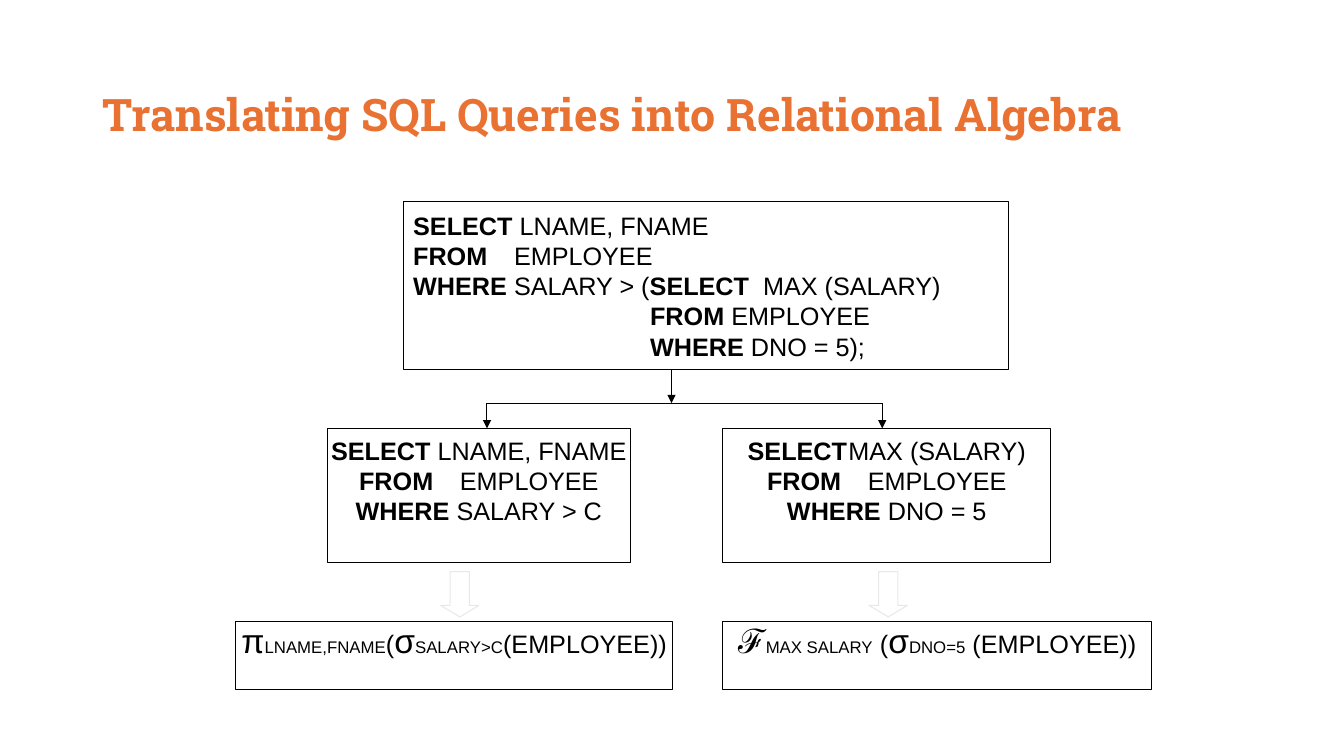
import pptx
import pptx.util
import pptx.dml.color
import pptx.enum.shapes
import pptx.enum.text
import pptx.oxml
import pptx.oxml.ns
from dataclasses import dataclass

Inches = pptx.util.Inches
Pt = pptx.util.Pt
RGB = pptx.dml.color.RGBColor.from_string
SHAPE = pptx.enum.shapes.MSO_SHAPE
ALIGN = pptx.enum.text.PP_ALIGN
ANCHOR = pptx.enum.text.MSO_ANCHOR
A = pptx.oxml.ns.nsdecls("a")


@dataclass(frozen=True)
class Theme:
    accent: str = "E97132"
    ink: str = "000000"
    paper: str = "FFFFFF"
    faint: str = "E8E8E8"
    head_font: str = "Roboto Slab"
    body_font: str = "Arial"
    title: int = 32
    symbol: int = 24
    body: int = 18
    subscript: int = 12
    line: float = 0.75
    query_leading: float = 21.5
    formula_leading: float = 27.5


THEME = Theme()


def set_all(obj, **values):
    for name, value in values.items():
        setattr(obj, name, value)


def add_run(p, text, size, color=THEME.ink, font=THEME.body_font, bold=False):
    r = p.add_run()
    r.text = text
    set_all(r.font, name=font, size=Pt(size), bold=bold)
    r.font.color.rgb = RGB(color)


def add_title(slide, box, text):
    sp = slide.shapes.title
    set_all(sp, **dict(zip(("left", "top", "width", "height"), map(Inches, box))))
    tf = sp.text_frame
    set_all(tf, word_wrap=True, vertical_anchor=ANCHOR.MIDDLE,
            margin_top=Inches(0.13), margin_bottom=Inches(0.05))
    p = tf.paragraphs[0]
    set_all(p, alignment=ALIGN.LEFT, line_spacing=0.9)
    add_run(p, text, THEME.title, THEME.accent, THEME.head_font, True)


def add_box(slide, box, side, top, wrap=False):
    sp = slide.shapes.add_shape(SHAPE.RECTANGLE, *map(Inches, box))
    sp.shadow.inherit = False
    sp.fill.solid()
    sp.fill.fore_color.rgb = RGB(THEME.paper)
    sp.line.color.rgb = RGB(THEME.ink)
    sp.line.width = Pt(THEME.line)
    tf = sp.text_frame
    set_all(tf, word_wrap=wrap, vertical_anchor=ANCHOR.TOP,
            margin_left=Inches(side), margin_right=Inches(side),
            margin_top=Inches(top), margin_bottom=0)
    return tf


def add_query(slide, box, lines, align=ALIGN.CENTER, side=0, top=0.07):
    tf = add_box(slide, box, side, top, wrap=align == ALIGN.LEFT)
    for i, (indent, *parts) in enumerate(lines):
        p = tf.add_paragraph() if i else tf.paragraphs[0]
        set_all(p, alignment=align, line_spacing=Pt(THEME.query_leading))
        pPr = p._p.get_or_add_pPr()
        pPr.set("marL", str(Inches(indent)))
        pPr.set("indent", "0")
        pPr.append(pptx.oxml.parse_xml(
            f'<a:tabLst {A}><a:tab pos="{Inches(1)}" algn="l"/></a:tabLst>'))
        for j, text in enumerate(parts):
            add_run(p, text, THEME.body, bold=j % 2 == 0)


def add_formula(slide, box, parts):
    p = add_box(slide, box, 0, 0).paragraphs[0]
    set_all(p, alignment=ALIGN.CENTER, line_spacing=Pt(THEME.formula_leading))
    for i, text in enumerate(parts):
        add_run(p, text, (THEME.symbol, THEME.subscript, THEME.body)[i % 3])


def add_line(slide, start, end, arrow=True):
    ends = map(Inches, (*start, *end))
    cx = slide.shapes.add_connector(
        pptx.enum.shapes.MSO_CONNECTOR.STRAIGHT, *ends)
    cx.line.color.rgb = RGB(THEME.ink)
    cx.line.width = Pt(THEME.line)
    if arrow:
        cx.line._get_or_add_ln().append(
            pptx.oxml.parse_xml(f'<a:tailEnd {A} type="triangle"/>'))
    cx._element.spPr.append(pptx.oxml.parse_xml(f"<a:effectLst {A}/>"))


def add_split(slide, box, stem):
    left, top, width, height = box
    right, bottom = left + width, top + height
    bus = bottom - 0.25
    add_line(slide, (stem, top), (stem, bus))
    add_line(slide, (left, bus), (right, bus), arrow=False)
    for x in (left, right):
        add_line(slide, (x, bus), (x, bottom))


def add_down_arrow(slide, box):
    sp = slide.shapes.add_shape(SHAPE.DOWN_ARROW, *map(Inches, box))
    sp.shadow.inherit = False
    sp.adjustments[0], sp.adjustments[1] = 0.5, 0.3
    sp.fill.background()
    sp.line.color.rgb = RGB(THEME.faint)
    sp.line.width = Pt(THEME.line)


def build_slide(prs):
    slide = prs.slides.add_slide(prs.slide_layouts[5])
    add_title(slide, (0.92, 0.4, 11.5, 1.45),
              "Translating SQL Queries into Relational Algebra")
    add_query(slide, (4, 2, 6, 1.67), [
        (0, "SELECT", " LNAME, FNAME"),
        (0, "FROM", "\tEMPLOYEE"),
        (0, "WHERE", " SALARY > (", "SELECT", "  MAX (SALARY)"),
        (2.35, "FROM ", "EMPLOYEE"),
        (2.35, "WHERE ", "DNO = 5);"),
    ], ALIGN.LEFT, 0.1, 0.09)
    blocks = [
        ((3.25, 3), (" LNAME, FNAME", " SALARY > C"), (2.34, 4.33), 4.37,
         ("π", "LNAME,FNAME", "(", "σ", "SALARY>C", "(EMPLOYEE))")),
        ((7.17, 3.25), ("\tMAX (SALARY)", " DNO = 5"), (7.17, 4.25), 8.62,
         ("ℱ", "MAX SALARY", " (", "σ", "DNO=5", " (EMPLOYEE))")),
    ]
    for (x, w), (columns, condition), (fx, fw), arrow_x, formula in blocks:
        add_query(slide, (x, 4.25, w, 1.33), [
            (0, "SELECT", columns),
            (0, "FROM", "\tEMPLOYEE"),
            (0, "WHERE", condition),
        ])
        add_down_arrow(slide, (arrow_x, 5.67, 0.38, 0.45))
        add_formula(slide, (fx, 6.17, fw, 0.67), formula)
    add_split(slide, (4.83, 3.67, 3.92, 0.58), 6.66)


def main():
    prs = pptx.Presentation()
    set_all(prs, slide_width=Inches(13.33), slide_height=Inches(7.5))
    build_slide(prs)
    prs.save("out.pptx")


if __name__ == "__main__":
    main()
